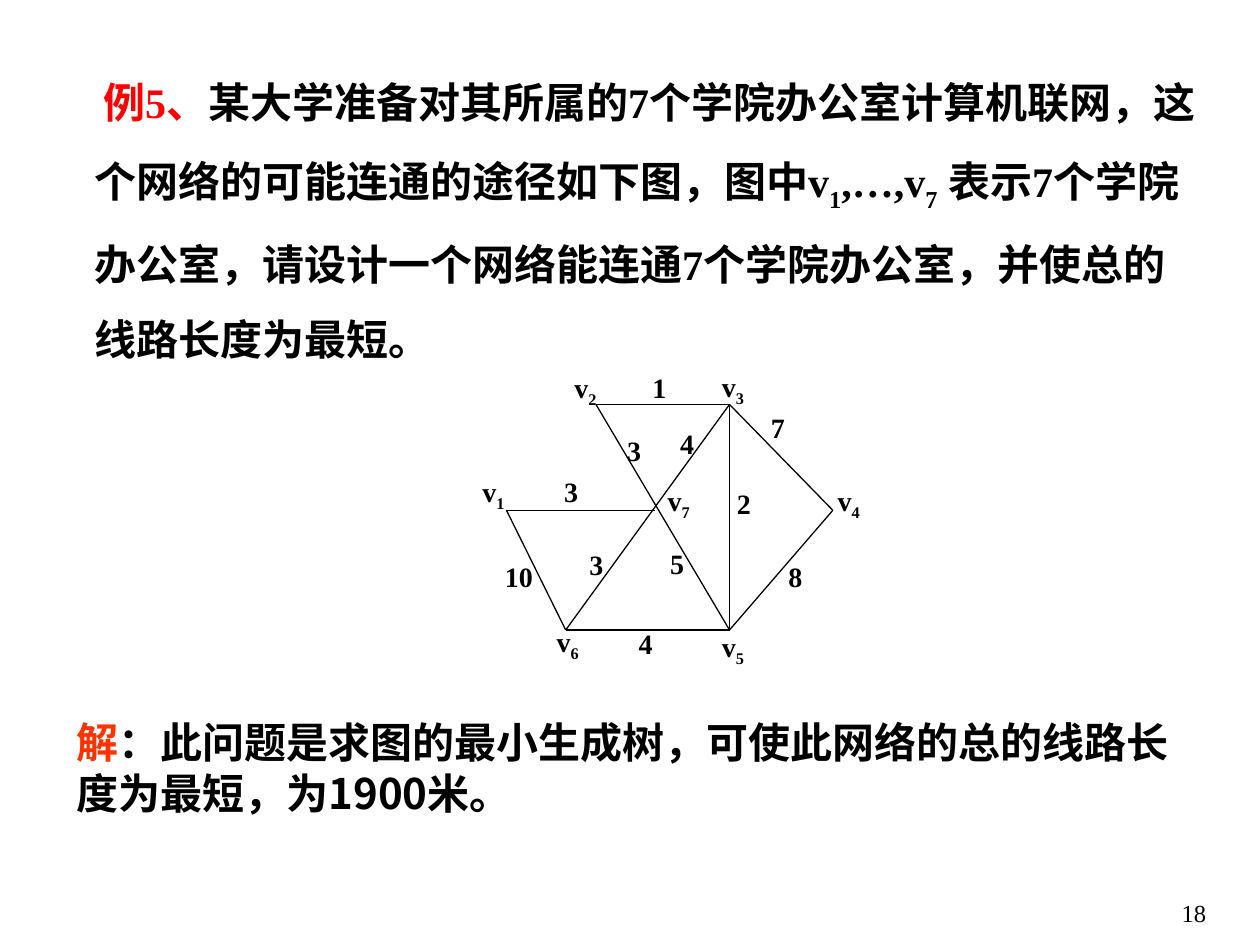
import pptx
import pptx.util
import pptx.dml.color
import pptx.enum.shapes
import pptx.enum.text
import pptx.oxml
from pptx.util import Inches

BLACK = pptx.dml.color.RGBColor(0x00, 0x00, 0x00)
RED = pptx.dml.color.RGBColor(0xFF, 0x00, 0x00)
ORANGE = pptx.dml.color.RGBColor(0xFF, 0x33, 0x00)
SERIF = "Times New Roman"
SANS = "Noto Sans CJK SC"

# Office positions in the network
NODES = {
    "1": (4.02, 4.05), "2": (4.73, 3.21), "3": (5.79, 3.21), "4": (6.61, 4.05),
    "5": (5.79, 5), "6": (4.49, 5), "7": (5.2, 4.05),
}
# Cables that run from office to office; 3-6 and 2-5 cross at office 7
CABLES = ["16", "65", "17", "36", "25", "23", "35", "54", "34"]
# Left and top of each office name
NODE_LABELS = {
    "1": (3.73, 3.72), "7": (5.2, 3.79), "6": (4.32, 4.91), "5": (5.63, 4.95),
    "4": (6.55, 3.79), "2": (4.46, 2.89), "3": (5.63, 2.88),
}
# Length, left and top of each cable length
LENGTHS = [
    ("3", 4.38, 3.72), ("3", 4.88, 3.39), ("1", 5.08, 2.89), ("7", 6.02, 3.21),
    ("2", 5.75, 3.81), ("8", 6.16, 4.39), ("5", 5.22, 4.29), ("4", 4.97, 4.92),
    ("10", 3.91, 4.39), ("3", 4.58, 4.3), ("4", 5.3, 3.34),
]


def add_text(shapes, box, runs, size=16, font=SERIF, bold=True, grow=True,
             align=pptx.enum.text.PP_ALIGN.LEFT, line_spacing=None,
             left_margin=0, first_indent=0):
    """Add one paragraph of (text, colour, is_subscript) runs."""
    frame = shapes.add_textbox(*map(Inches, box)).text_frame
    frame.word_wrap = True
    if grow:
        frame.auto_size = pptx.enum.text.MSO_AUTO_SIZE.SHAPE_TO_FIT_TEXT
    paragraph = frame.paragraphs[0]
    paragraph.alignment = align
    if line_spacing:
        paragraph.line_spacing = line_spacing
    if left_margin:
        properties = paragraph._p.get_or_add_pPr()
        properties.set("marL", str(Inches(left_margin)))
        properties.set("indent", str(Inches(first_indent)))
    for text, colour, is_subscript in runs:
        run = paragraph.add_run()
        run.text = text
        run.font.size = pptx.util.Pt(size)
        run.font.bold = bold
        run.font.name = font
        run.font.color.rgb = colour
        run_properties = run.font._element
        east_asian = pptx.oxml.ns.qn("a:ea")
        run_properties.makeelement(east_asian)
        pptx.oxml.xmlchemy.OxmlElement  # noqa: B018
        face = pptx.oxml.xmlchemy.OxmlElement("a:ea")
        face.set("typeface", SANS)
        run_properties.append(face)
        if is_subscript:
            run_properties.set("baseline", "-25000")


def add_cable(shapes, start, end):
    cable = shapes.add_connector(
        pptx.enum.shapes.MSO_CONNECTOR.STRAIGHT,
        *map(Inches, NODES[start] + NODES[end]))
    cable.line.color.rgb = BLACK
    cable.line.width = pptx.util.Pt(0.75)
    cable._element.spPr.append(pptx.oxml.xmlchemy.OxmlElement("a:effectLst"))


def add_network(slide):
    network = slide.shapes.add_group_shape().shapes
    for start, end in CABLES:
        add_cable(network, start, end)
    for length, left, top in LENGTHS:
        width = 0.7 if len(length) > 1 else 0.47
        add_text(network, (left, top, width, 0.37), [(length, BLACK, False)])
    for number, (left, top) in NODE_LABELS.items():
        width = 0.82 if number == "1" else 0.59
        add_text(network, (left, top, width, 0.41),
                 [("v", BLACK, False), (number, BLACK, True)])


def main():
    presentation = pptx.Presentation()
    presentation.slide_width = Inches(10)
    presentation.slide_height = Inches(7.5)
    slide = presentation.slides.add_slide(presentation.slide_layouts[6])

    # Slide number
    add_text(slide.shapes, (8.92, 7.08, 0.75, 0.5), [("18", BLACK, False)],
             size=14, bold=False, grow=False,
             align=pptx.enum.text.PP_ALIGN.RIGHT)

    # Problem
    problem = [
        ("例5、", RED, False),
        ("某大学准备对其所属的7个学院办公室计算机联网，"
         "这个网络的可能连通的途径如下图，图中v", BLACK, False),
        ("1", BLACK, True),
        (",…,v", BLACK, False),
        ("7", BLACK, True),
        (" 表示7个学院办公室，请设计一个网络能连通7个学院办公室，"
         "并使总的线路长度为最短。", BLACK, False),
    ]
    add_text(slide.shapes, (0.27, 0.36, 9.37, 2.68), problem, size=24,
             grow=False, line_spacing=1.5, left_margin=0.38, first_indent=0.07)

    # Solution
    solution = [
        ("解", ORANGE, False),
        ("：此问题是求图的最小生成树，可使此网络的总的线路长度为最短，"
         "为1900米。", BLACK, False),
    ]
    add_text(slide.shapes, (0.51, 5.64, 9.06, 0.9), solution, size=24, font=SANS)

    # Network diagram
    add_network(slide)

    presentation.save("out.pptx")


if __name__ == "__main__":
    main()
